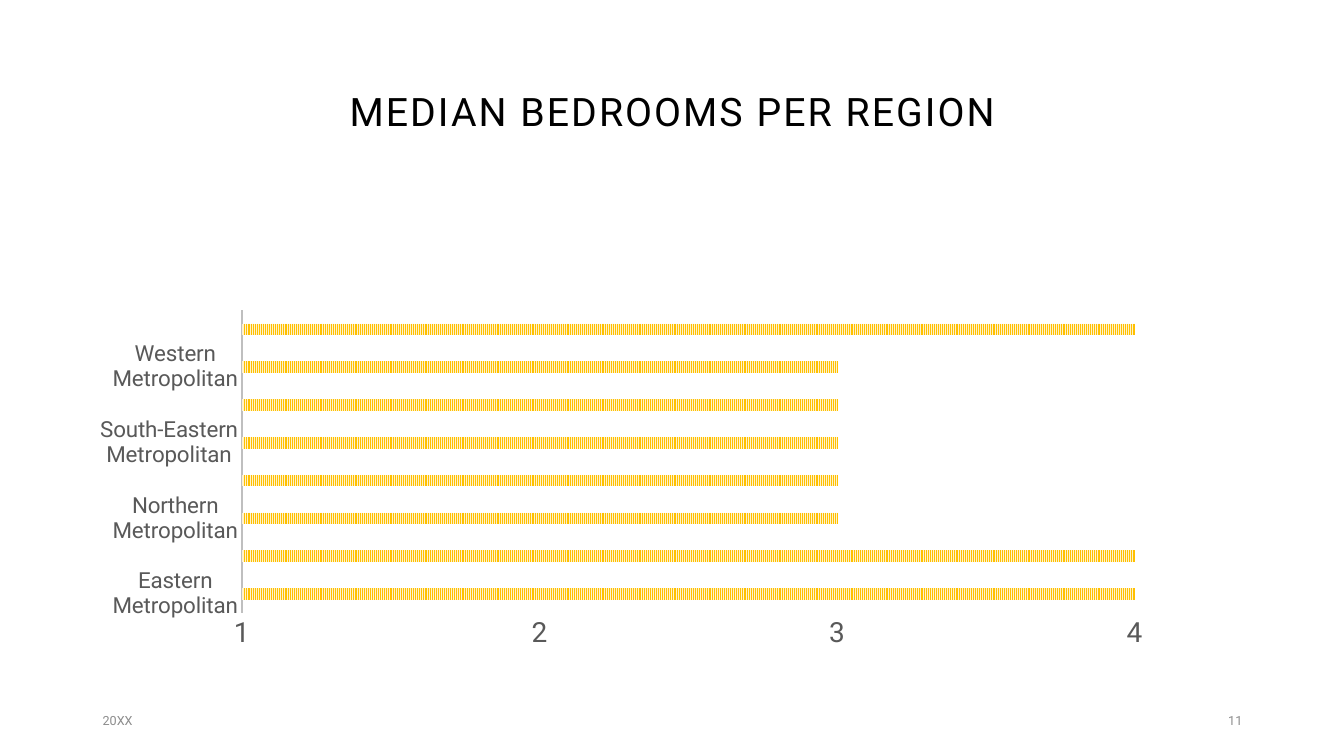
import pptx
import pptx.chart.data
import pptx.dml.color
import pptx.enum.chart
import pptx.enum.dml
import pptx.enum.text
import pptx.oxml
import pptx.oxml.ns
import pptx.util
from dataclasses import dataclass

Inches = pptx.util.Inches
Align = pptx.enum.text.PP_ALIGN
Tick = pptx.enum.chart.XL_TICK_MARK


@dataclass(frozen=True)
class Theme:
    face: str = "Roboto"
    ink: str = "000000"
    label: str = "595959"
    muted: str = "8C8C8C"
    rule: str = "BFBFBF"
    stripe: str = "FFC000"
    pale: str = "FFF2CC"
    title: int = 28
    value: int = 20
    region: int = 16
    small: int = 9


THEME = Theme()

# Each label names the first bar of a pair; the second bar has none
BEDROOMS = {
    "Eastern Metropolitan": (4, 4),
    "Northern Metropolitan": (3, 3),
    "South-Eastern Metropolitan": (3, 3),
    "Western Metropolitan": (3, 4),
}


def rgb(code):
    return pptx.dml.color.RGBColor.from_string(code)


def style(font, size, color):
    font.name = THEME.face
    font.size = pptx.util.Pt(size)
    font.bold = False
    font.color.rgb = rgb(color)


def write(shape, text, size, color, align):
    frame = shape.text_frame
    frame.text = text
    frame.word_wrap = True
    frame.vertical_anchor = pptx.enum.text.MSO_ANCHOR.MIDDLE
    line = frame.paragraphs[0]
    line.alignment = align
    style(line.runs[0].font, size, color)
    return line


def add_title(slide, text):
    title = slide.shapes.title
    title.left, title.top = Inches(0.92), Inches(0.4)
    title.width, title.height = Inches(11.5), Inches(1.45)
    line = write(title, text, THEME.title, THEME.ink, Align.CENTER)
    line.line_spacing = 0.9
    # Letter spacing, in hundredths of a point
    line.runs[0]._r.get_or_add_rPr().set("spc", "150")


def add_note(slide, left, text, align):
    box = slide.shapes.add_textbox(
        Inches(left), Inches(6.95), Inches(3), Inches(0.4))
    line = write(box, text, THEME.small, THEME.muted, align)
    line.space_after = pptx.util.Pt(6)


def place_plot(chart, x, y, w, h):
    area = chart._chartSpace.chart.plotArea
    old = area.find(pptx.oxml.ns.qn("c:layout"))
    if old is not None:
        area.remove(old)
    sizes = "".join(f'<c:{key} val="{size}"/>'
                    for key, size in zip("xywh", (x, y, w, h)))
    area.insert(0, pptx.oxml.parse_xml(
        f'<c:layout {pptx.oxml.ns.nsdecls("c")}><c:manualLayout>'
        '<c:layoutTarget val="inner"/><c:xMode val="edge"/>'
        f'<c:yMode val="edge"/>{sizes}</c:manualLayout></c:layout>'))


def format_axis(axis, size):
    axis.has_major_gridlines = False
    axis.major_tick_mark = axis.minor_tick_mark = Tick.NONE
    style(axis.tick_labels.font, size, THEME.label)


def add_bars(slide, pairs):
    data = pptx.chart.data.CategoryChartData()
    data.categories = [name for region in pairs for name in (region, "")]
    data.add_series("Series 1", [count for pair in pairs.values()
                                 for count in pair])
    chart = slide.shapes.add_chart(
        pptx.enum.chart.XL_CHART_TYPE.BAR_CLUSTERED,
        Inches(0.79), Inches(2.35), Inches(11.5), Inches(4.1), data).chart
    chart.has_title = chart.has_legend = False
    style(chart.font, 10, THEME.ink)
    place_plot(chart, 0.14, 0.18, 0.77, 0.74)

    # Striped bars
    plot = chart.plots[0]
    plot.gap_width, plot.overlap = 227, -48
    plot.vary_by_categories = False
    fill = plot.series[0].format.fill
    fill.patterned()
    fill.pattern = pptx.enum.dml.MSO_PATTERN.NARROW_VERTICAL
    fill.fore_color.rgb = rgb(THEME.stripe)
    fill.back_color.rgb = rgb(THEME.pale)

    # Axes
    region, count = chart.category_axis, chart.value_axis
    format_axis(region, THEME.region)
    region.format.line.color.rgb = rgb(THEME.rule)
    region.format.line.width = pptx.util.Pt(1.5)
    format_axis(count, THEME.value)
    count.format.line.fill.background()
    count.minimum_scale, count.maximum_scale = 1, 4
    count.major_unit = 1


def main():
    deck = pptx.Presentation()
    deck.slide_width, deck.slide_height = Inches(13.33), Inches(7.5)
    slide = deck.slides.add_slide(deck.slide_layouts[5])
    add_title(slide, "MEDIAN BEDROOMS PER REGION")
    add_bars(slide, BEDROOMS)
    # Footer
    add_note(slide, 0.92, "20XX", Align.LEFT)
    add_note(slide, 9.42, "11", Align.RIGHT)
    deck.save("out.pptx")


if __name__ == "__main__":
    main()
